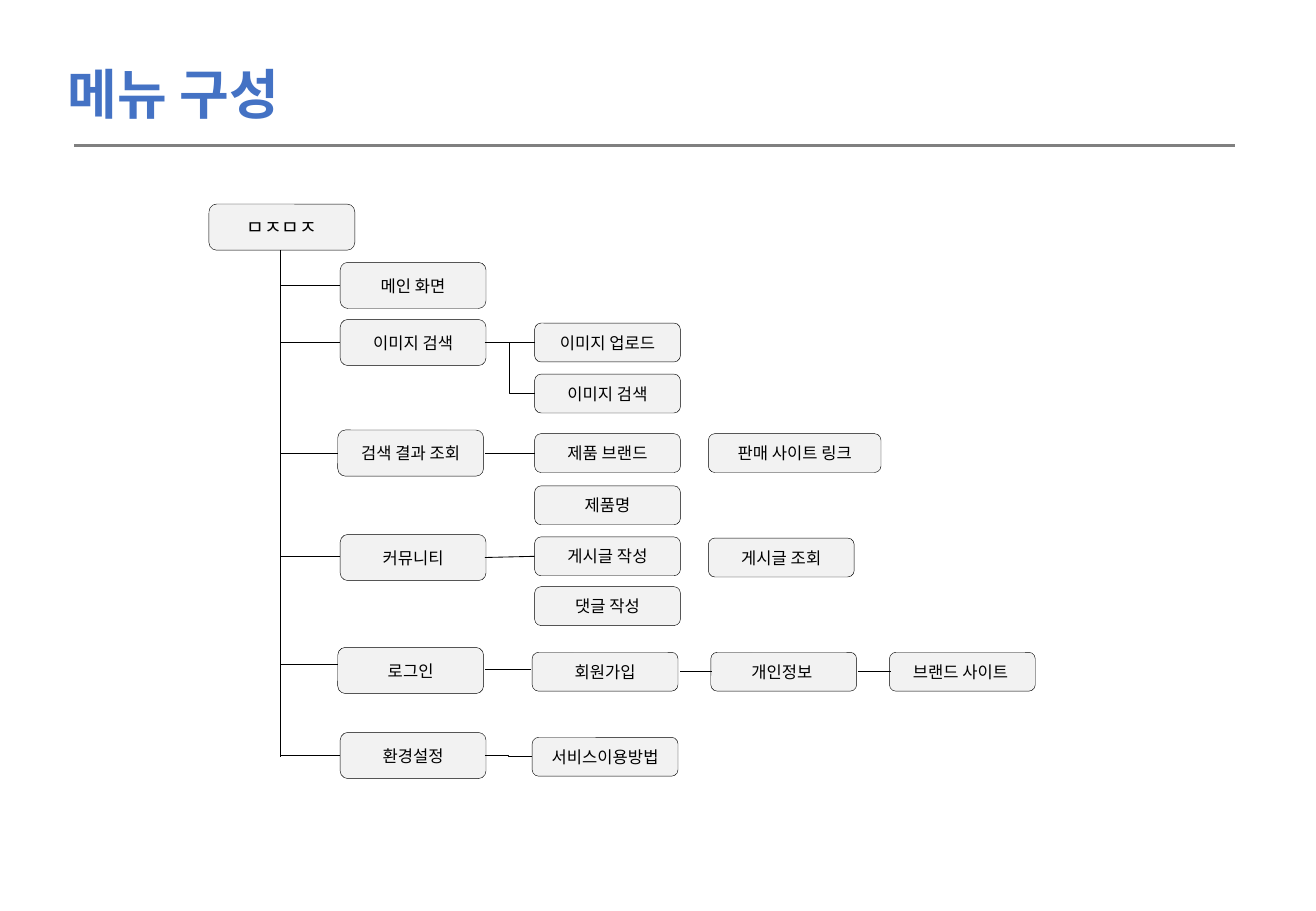
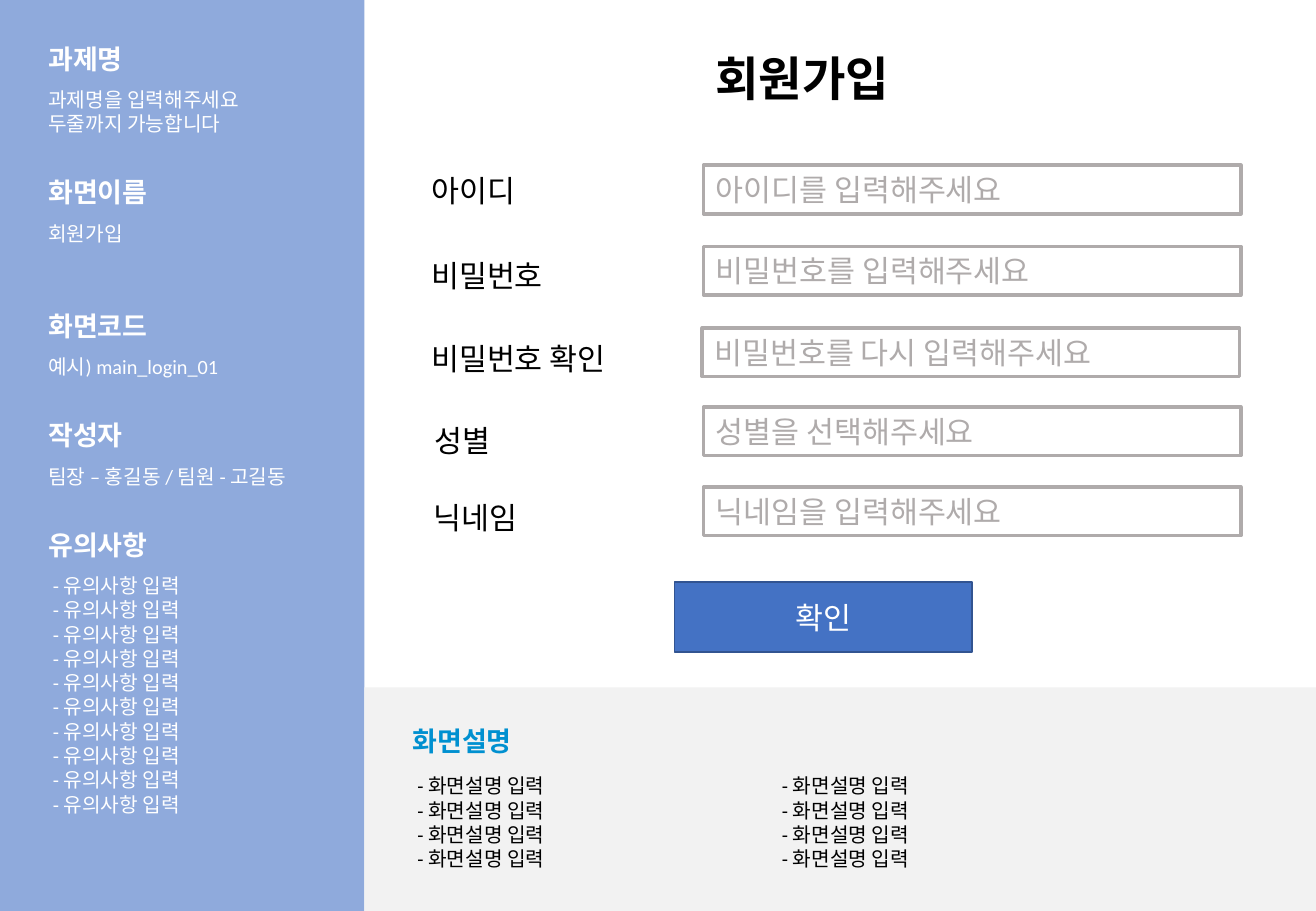
from lxml import etree
from pptx import Presentation
from pptx.dml.color import RGBColor
from pptx.enum.shapes import MSO_CONNECTOR as Link, MSO_SHAPE as Preset
from pptx.enum.text import MSO_ANCHOR as Anchor, MSO_AUTO_SIZE as AutoSize, PP_ALIGN as Align
from pptx.oxml.ns import qn
from pptx.util import Emu, Pt

SCALE = 9144  # EMU in one px, 100 px to the inch
WIDTH, HEIGHT = 1083, 750

BLUE, BLUE_EDGE, SIDE_BLUE, ACCENT = "4472C4", "325491", "8FAADC", "0090D0"
BLACK, WHITE, PALE, GREY, RULE = "000000", "FFFFFF", "F2F2F2", "AFABAB", "808080"
BODY_FONT, MENU_FONT = "Calibri", "Noto Sans CJK KR"


def px(length):
    return Emu(length * SCALE)


def color(value):
    return RGBColor.from_string(value)


def write(shape, text, size, ink, bold=False, font=BODY_FONT, align=Align.LEFT):
    shape.text_frame.text = text
    for para in shape.text_frame.paragraphs:
        para.alignment = align
        for span in para.runs:
            span.font.size, span.font.bold, span.font.name = Pt(size), bold, font
            span.font.color.rgb = color(ink)
            east_asian = etree.SubElement(span.font._element, qn("a:ea"))
            east_asian.set("typeface", font)


def add_text(page, left, top, width, height, text, size, ink, bold=False, wrap=True):
    box = page.shapes.add_textbox(px(left), px(top), px(width), px(height))
    write(box, text, size, ink, bold)
    box.text_frame.word_wrap = wrap
    box.text_frame.auto_size = AutoSize.SHAPE_TO_FIT_TEXT


def add_box(page, left, top, width, height, fill=None, line=None, weight=1, preset=Preset.RECTANGLE):
    box = page.shapes.add_shape(preset, px(left), px(top), px(width), px(height))
    box.shadow.inherit = False
    if fill:
        box.fill.solid()
        box.fill.fore_color.rgb = color(fill)
    else:
        box.fill.background()
    if line:
        box.line.color.rgb, box.line.width = color(line), Pt(weight)
    else:
        box.line.fill.background()
    box.text_frame.word_wrap = True
    box.text_frame.vertical_anchor = Anchor.MIDDLE
    return box


def add_line(page, left, top, right, bottom, ink=BLACK, weight=0.5, kind=Link.STRAIGHT):
    line = page.shapes.add_connector(kind, px(left), px(top), px(right), px(bottom))
    line.line.color.rgb, line.line.width = color(ink), Pt(weight)
    etree.SubElement(line._element.spPr, qn("a:effectLst"))


# Menu slide: each branch has left, top, height of its stub, text
BRANCHES = [
    (108, 48, 67, "메인 화면"),
    (108, 95, 114, "이미지 검색"),
    (106, 186, 205, "검색 결과 조회"),
    (108, 272, 290, "커뮤니티"),
    (106, 365, 379, "로그인"),
    (108, 435, 454, "환경설정"),
]
# Left, top, width, text
LEAVES = [
    (268, 98, 120, "이미지 업로드"),
    (268, 140, 120, "이미지 검색"),
    (268, 189, 120, "제품 브랜드"),
    (411, 189, 142, "판매 사이트 링크"),
    (268, 232, 120, "제품명"),
    (268, 274, 120, "게시글 작성"),
    (411, 275, 120, "게시글 조회"),
    (268, 315, 120, "댓글 작성"),
    (266, 369, 120, "회원가입"),
    (413, 369, 120, "개인정보 "),
    (560, 369, 120, "브랜드 사이트 "),
    (266, 439, 120, "서비스이용방법"),
]
LEAF_LINKS = [
    (227, 114, 268, 114, Link.STRAIGHT),
    (227, 114, 268, 156, Link.ELBOW),
    (227, 205, 268, 205, Link.STRAIGHT),
    (227, 291, 268, 290, Link.STRAIGHT),
    (227, 383, 265, 383, Link.STRAIGHT),
    (388, 385, 414, 385, Link.STRAIGHT),
    (534, 385, 561, 385, Link.STRAIGHT),
    (227, 454, 266, 455, Link.ELBOW),
]


def title_band(page, left, top, text):
    add_text(page, left, top, 210, 64, text, 32, BLUE, bold=True, wrap=False)
    add_line(page, left + 15, top + 75, left + 970, top + 75, RULE, 1.5)


def menu_tree(page, left, top):
    def node(x, y, width, height, text, size=9.8):
        box = add_box(page, left + x, top + y, width, height, PALE, BLACK, 0.25, Preset.ROUNDED_RECTANGLE)
        write(box, text, size, BLACK, font=MENU_FONT, align=Align.CENTER)

    def link(x1, y1, x2, y2, kind=Link.STRAIGHT):
        add_line(page, left + x1, top + y1, left + x2, top + y2, kind=kind)

    trunk = 59
    node(0, 0, 120, 38, "ㅁㅈㅁㅈ", 11.4)
    link(trunk, 38, trunk, 455)
    for x, y, stub, text in BRANCHES:
        node(x, y, 120, 38, text)
        link(trunk, stub, x, stub)
    for x, y, width, text in LEAVES:
        node(x, y, width, 32, text)
    for ends in LEAF_LINKS:
        link(*ends)


# Form slide: top of each section, heading, body
SECTIONS = [
    (30, "과제명", "과제명을 입력해주세요\n두줄까지 가능합니다"),
    (140, "화면이름", "회원가입"),
    (250, "화면코드", "예시) main_login_01"),
    (340, "작성자", "팀장 – 홍길동 / 팀원 - 고길동"),
    (430, "유의사항", "\n".join([" - 유의사항 입력"] * 10)),
]
# Label left and top, field left and top, label, prompt
FIELDS = [
    (45, 137, 279, 136, "아이디", "아이디를 입력해주세요"),
    (45, 207, 279, 203, "비밀번호", "비밀번호를 입력해주세요"),
    (45, 275, 278, 270, "비밀번호 확인", "비밀번호를 다시 입력해주세요"),
    (48, 343, 279, 335, "성별", "성별을 선택해주세요"),
    (47, 406, 279, 401, "닉네임", "닉네임을 입력해주세요"),
]


def heading(page, left, top, text, ink):
    add_text(page, left, top, 110 if len(text) > 3 else 88, 37, text, 16, ink, bold=True, wrap=False)


def sidebar(page, left, top, width, height):
    add_box(page, left, top, width, height, SIDE_BLUE)
    for y, name, body in SECTIONS:
        heading(page, left + 30, top + y, name, WHITE)
        lines = body.count("\n") + 1
        add_text(page, left + 30, top + y + 37, 237, 10 + 20 * lines, body, 12, WHITE)


def form(page, left, top):
    add_text(page, left + 279, top + 36, 442, 57, "회원가입", 28, BLACK, bold=True)
    for label_x, label_y, field_x, field_y, label, prompt in FIELDS:
        add_text(page, left + label_x, top + label_y, 197, 40, label, 18, BLACK)
        field = add_box(page, left + field_x, top + field_y, 442, 40, line=GREY, weight=2.25)
        field.text_frame.vertical_anchor = Anchor.TOP
        write(field, prompt, 18, GREY)
    button = add_box(page, left + 255, top + 479, 245, 58, BLUE, BLUE_EDGE)
    write(button, "확인", 18, WHITE, align=Align.CENTER)


def description(page, left, top, width, height):
    add_box(page, left, top, width, height, PALE)
    heading(page, left + 30, top + 26, "화면설명", ACCENT)
    for column in range(2):
        add_text(page, left + 30 + 300 * column, top + 66, 270, 91,
                 "\n".join([" - 화면설명 입력"] * 4), 12, BLACK)


def menu_page(page):
    title_band(page, 46, 45, "메뉴 구성")
    menu_tree(page, 172, 168)


def form_page(page):
    side, foot = 300, 184
    sidebar(page, 0, 0, side, HEIGHT)
    description(page, side, HEIGHT - foot, WIDTH - side, foot)
    form(page, side, 0)


def main():
    deck = Presentation()
    deck.slide_width, deck.slide_height = px(WIDTH), px(HEIGHT)
    for build in (menu_page, form_page):
        build(deck.slides.add_slide(deck.slide_layouts[6]))
    deck.save("out.pptx")


if __name__ == "__main__":
    main()
